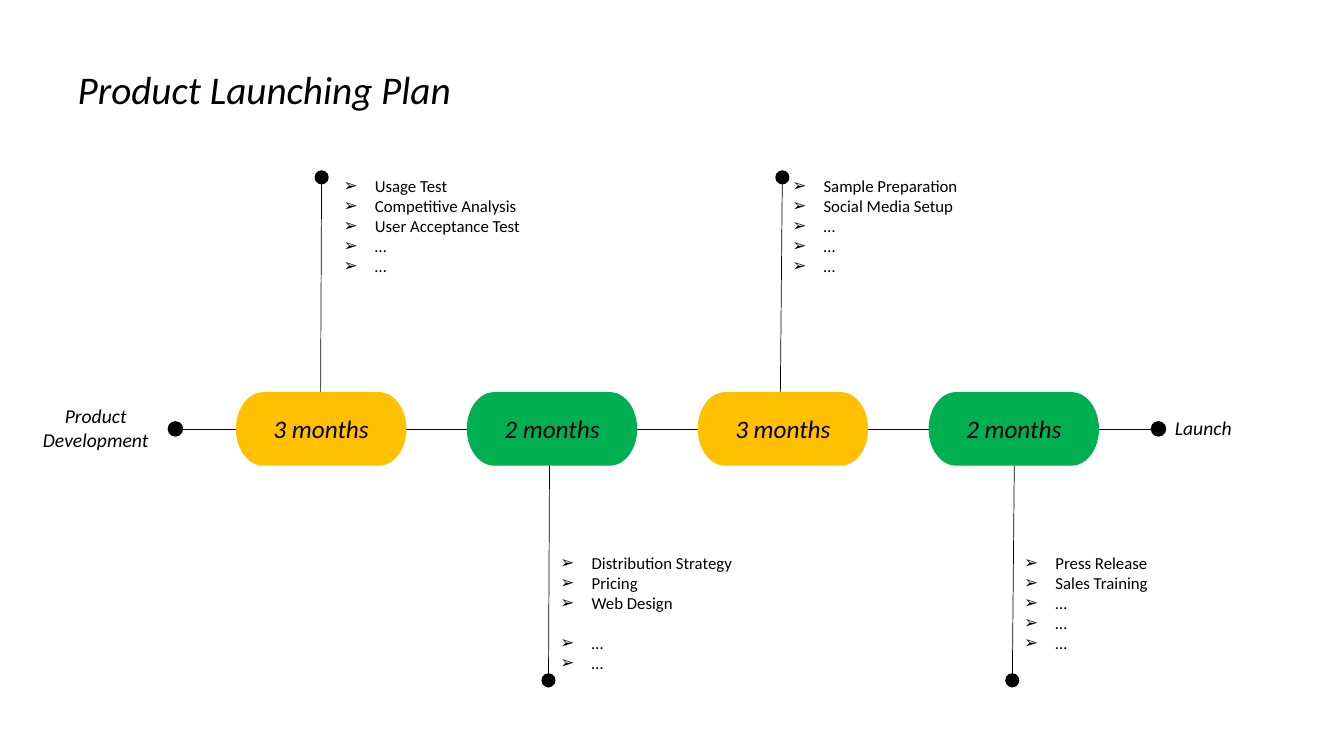
from lxml import etree
from pptx import Presentation
from pptx import util as u
from pptx.dml.color import RGBColor
from pptx.enum import shapes, text
from pptx.oxml import ns

BLACK = RGBColor(0, 0, 0)
AMBER = RGBColor(0xFF, 0xC0, 0x00)
GREEN = RGBColor(0x00, 0xB0, 0x50)

FONT = "Calibri"
STAGE_LEFT, STAGE_TOP = 2.34, 3.89
STAGE_W, STAGE_H = 1.69, 0.73
PITCH = 2.29
AXIS = STAGE_TOP + STAGE_H / 2
DOT = 0.14
STEM = 2.2
INDENT = 0.31

# duration, colour, stem x, stem slant, notes (left, top, width, height), items, item after a gap
STAGES = [
    ("3 months", AMBER, 3.18, 0.01, (3.31, 1.69, 1.98, 1.11),
     ["Usage Test", "Competitive Analysis", "User Acceptance Test", "…", "…"], None),
    ("2 months", GREEN, 5.45, -0.01, (5.46, 5.43, 1.92, 1.31),
     ["Distribution Strategy", "Pricing", "Web Design", "…", "…"], 3),
    ("3 months", AMBER, 7.74, 0.02, (7.76, 1.69, 1.86, 1.11),
     ["Sample Preparation", "Social Media Setup", "…", "…", "…"], None),
    ("2 months", GREEN, 10.06, -0.02, (10.06, 5.43, 1.48, 1.11),
     ["Press Release", "Sales Training", "…", "…", "…"], None),
]


def inches(*lengths):
    return [u.Inches(n) for n in lengths]


def write(sp, lines, size=14, italic=True, align=text.PP_ALIGN.CENTER,
          anchor=text.MSO_ANCHOR.TOP, wrap=False):
    """Fill a shape with one paragraph per line and return the paragraphs."""
    tf = sp.text_frame
    tf.word_wrap = wrap
    tf.auto_size = text.MSO_AUTO_SIZE.NONE
    tf.vertical_anchor = anchor
    tf.margin_left = tf.margin_right = u.Inches(0.1)
    tf.margin_top = tf.margin_bottom = u.Inches(0.05)
    for i, line in enumerate(lines):
        p = tf.paragraphs[0] if i == 0 else tf.add_paragraph()
        p.alignment = align
        r = p.add_run()
        r.text = line
        r.font.name, r.font.size, r.font.italic = FONT, u.Pt(size), italic
        r.font.color.rgb = BLACK
    return tf.paragraphs


def add_title(s, title):
    sp = s.shapes.title
    sp.left, sp.top, sp.width, sp.height = inches(0.67, 0.6, 3.94, 0.57)
    write(sp, [title], size=28, align=text.PP_ALIGN.LEFT, anchor=text.MSO_ANCHOR.MIDDLE)


def add_label(s, box, lines):
    write(s.shapes.add_textbox(*inches(*box)), lines)


def add_line(s, x1, y1, x2, y2):
    c = s.shapes.add_connector(shapes.MSO_CONNECTOR.STRAIGHT, *inches(x1, y1, x2, y2))
    c.line.color.rgb = BLACK
    c.line.width = u.Pt(0.5)
    etree.SubElement(c._element.spPr, ns.qn("a:effectLst"))


def add_shape(s, kind, box, colour):
    sp = s.shapes.add_shape(kind, *inches(*box))
    sp.shadow.inherit = False
    sp.fill.solid()
    sp.fill.fore_color.rgb = colour
    sp.line.fill.background()
    return sp


def add_dot(s, x, y, outlined=False):
    sp = add_shape(s, shapes.MSO_SHAPE.OVAL, (x - DOT / 2, y - DOT / 2, DOT, DOT), BLACK)
    if outlined:
        sp.line.color.rgb = BLACK
        sp.line.width = u.Pt(1)


def add_notes(s, box, items, gap_before):
    sp = s.shapes.add_textbox(*inches(*box))
    paragraphs = write(sp, items, size=12, italic=False, align=text.PP_ALIGN.LEFT)
    if gap_before is not None:
        paragraphs[gap_before].space_before = u.Pt(14)
    for p in paragraphs:
        pPr = p._p.get_or_add_pPr()
        pPr.set("marL", str(u.Inches(INDENT)))
        pPr.set("indent", str(-u.Inches(INDENT)))
        etree.SubElement(pPr, ns.qn("a:buFont")).set("typeface", "Arial")
        etree.SubElement(pPr, ns.qn("a:buChar")).set("char", "➢")


def add_stem(s, x, slant, upward):
    """Draw the line from a stage to its end dot, above or below the axis."""
    start = STAGE_TOP if upward else STAGE_TOP + STAGE_H
    sign = -1 if upward else 1
    end = start + sign * STEM
    add_line(s, x, start, x + slant, end)
    add_dot(s, x + slant, end - sign * DOT / 2)


def add_stage(s, i, duration, colour):
    left = STAGE_LEFT + i * PITCH
    box = (left, STAGE_TOP, STAGE_W, STAGE_H)
    sp = add_shape(s, shapes.MSO_SHAPE.FLOWCHART_TERMINATOR, box, colour)
    write(sp, [duration], size=18, anchor=text.MSO_ANCHOR.MIDDLE, wrap=True)
    add_line(s, left + STAGE_W, AXIS, left + PITCH, AXIS)


def main():
    prs = Presentation()
    prs.slide_width, prs.slide_height = inches(13.33, 7.5)
    s = prs.slides.add_slide(prs.slide_layouts[5])
    add_title(s, "Product Launching Plan")

    add_label(s, (0.32, 3.96, 1.26, 0.57), ["Product", "Development"])
    add_label(s, (11.55, 4.08, 0.77, 0.34), ["Launch"])
    add_line(s, STAGE_LEFT - 0.6, AXIS, STAGE_LEFT, AXIS)
    for i, (duration, colour, x, slant, box, items, gap_before) in enumerate(STAGES):
        add_stage(s, i, duration, colour)
        add_stem(s, x, slant, upward=i % 2 == 0)
        add_notes(s, box, items, gap_before)
    for x in (1.74, 11.49):
        add_dot(s, x, AXIS, outlined=True)

    prs.save("out.pptx")


if __name__ == "__main__":
    main()
